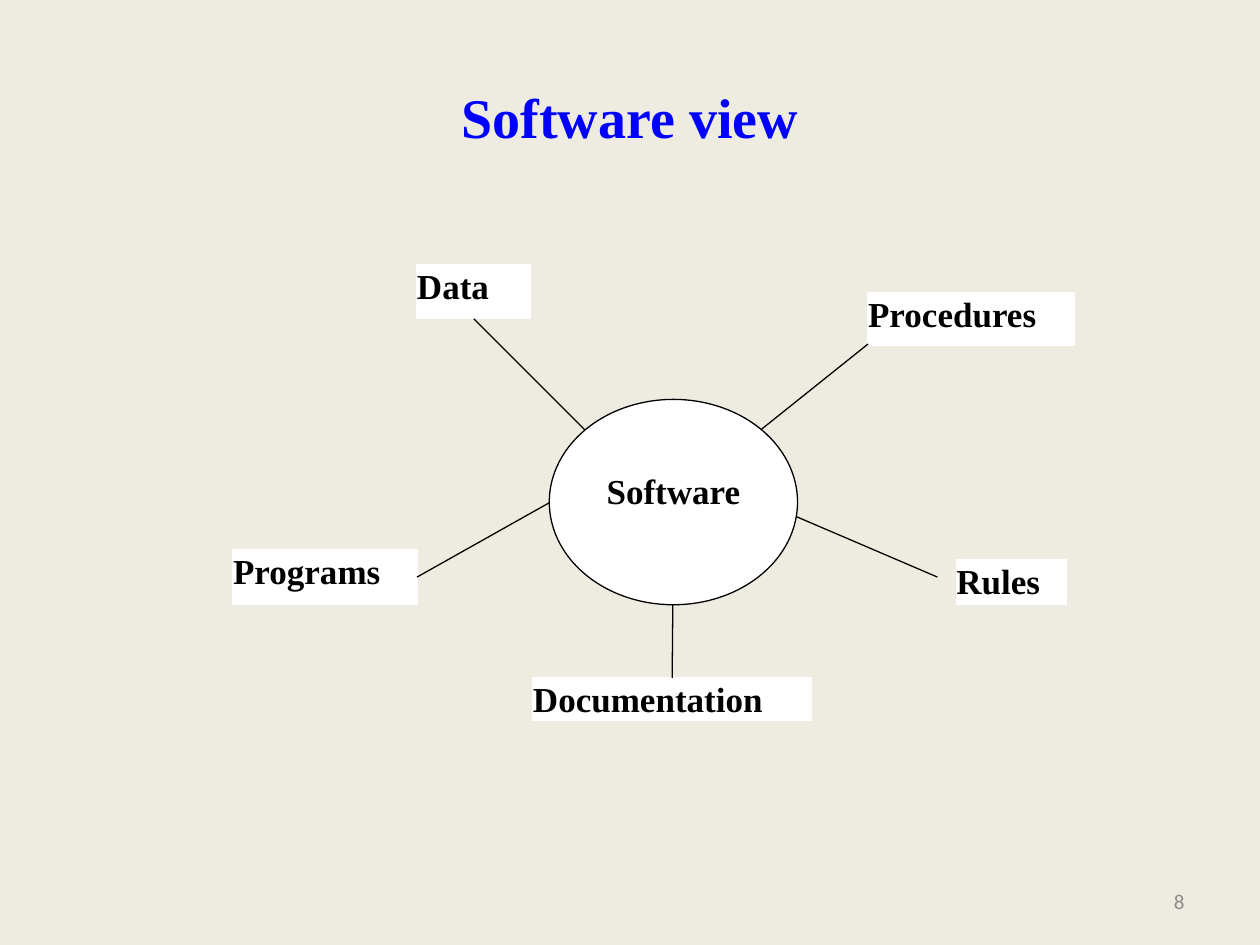
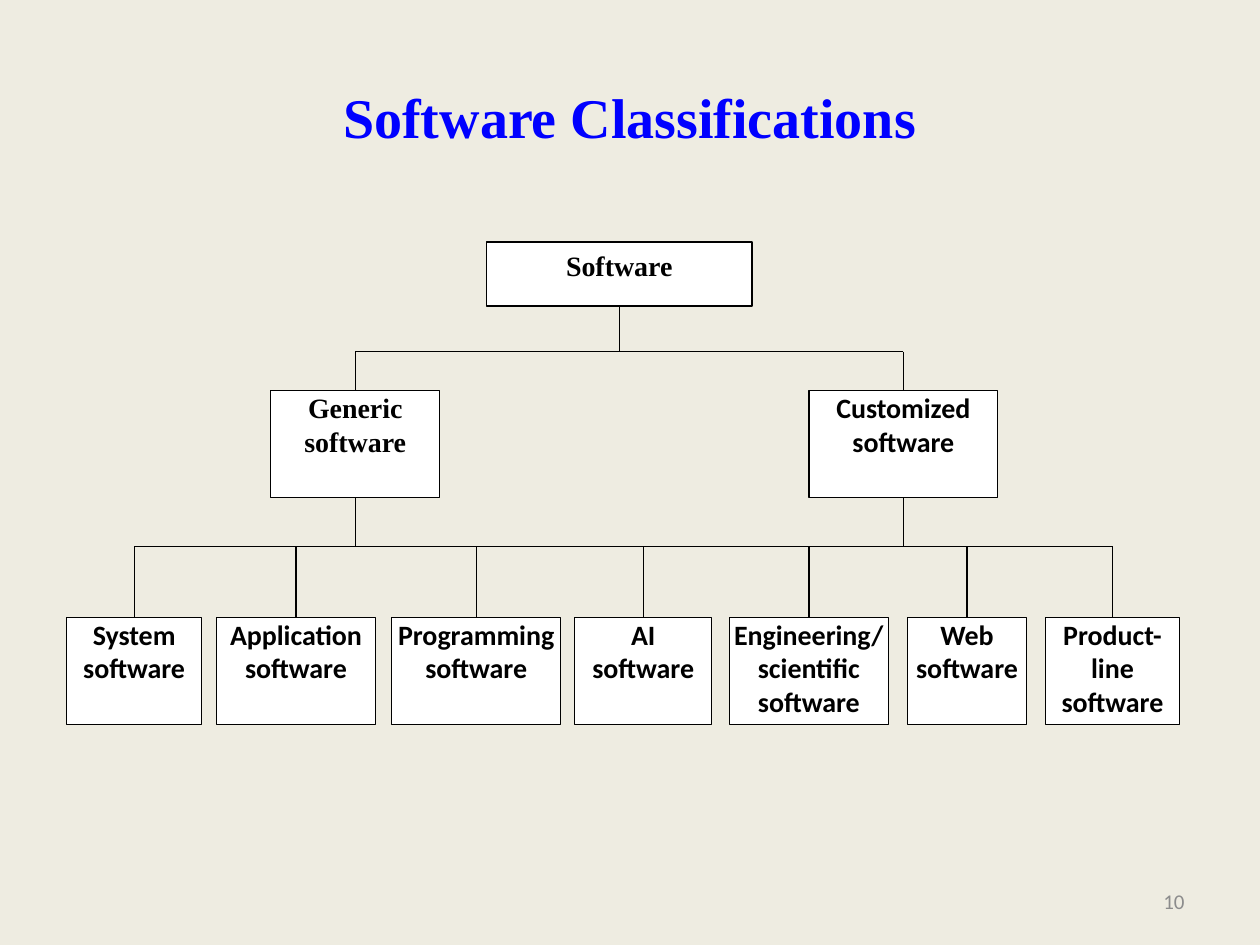
from dataclasses import dataclass

from lxml import etree
from pptx import Presentation
from pptx.dml.color import RGBColor
from pptx.enum.shapes import MSO_CONNECTOR, MSO_SHAPE
from pptx.enum.text import MSO_ANCHOR, PP_ALIGN
from pptx.oxml.ns import qn
from pptx.util import Inches, Pt

RECT, OVAL = MSO_SHAPE.RECTANGLE, MSO_SHAPE.OVAL
STRAIGHT = MSO_CONNECTOR.STRAIGHT
TOP, MIDDLE = MSO_ANCHOR.TOP, MSO_ANCHOR.MIDDLE
LEFT, CENTER, RIGHT = PP_ALIGN.LEFT, PP_ALIGN.CENTER, PP_ALIGN.RIGHT
ABOVE, BELOW, EAST = 0, 2, 3


@dataclass(frozen=True)
class Theme:
    paper: RGBColor = RGBColor(0xEE, 0xEC, 0xE1)
    white: RGBColor = RGBColor(0xFF, 0xFF, 0xFF)
    ink: RGBColor = RGBColor(0, 0, 0)
    blue: RGBColor = RGBColor(0, 0, 0xFF)
    gray: RGBColor = RGBColor(0x8C, 0x8C, 0x8C)
    serif: str = "Times New Roman"
    sans: str = "Calibri"
    title: int = 32
    label: int = 20
    node: int = 16
    foot: int = 12
    rule: float = 0.75


T = Theme()
deck = Presentation()
deck.slide_width, deck.slide_height = Inches(10), Inches(7.5)
COL, ROW = deck.slide_width / 100, deck.slide_height / 75


def put(slide, box, text, size, face=T.serif, color=T.ink, align=CENTER,
        anchor=TOP, bold=True, kind=RECT, fill=T.white, edge=T.ink, inset=(0, 0)):
    """Add a shape with text; box and inset are in columns and rows, no fill makes a text box."""
    x, y, w, h = box
    area = [int(n) for n in (x * COL, y * ROW, w * COL, h * ROW)]
    if fill is None:
        shape = slide.shapes.add_textbox(*area)
    else:
        shape = slide.shapes.add_shape(kind, *area)
        shape.shadow.inherit = False
        shape.fill.solid()
        shape.fill.fore_color.rgb = fill
        shape.line.color.rgb = edge
        shape.line.width = Pt(T.rule)
    frame = shape.text_frame
    frame.word_wrap = True
    frame.vertical_anchor = anchor
    frame.margin_left = frame.margin_right = int(inset[0] * COL)
    frame.margin_top = int(inset[1] * ROW)
    frame.margin_bottom = 0 if anchor == TOP else frame.margin_top
    frame.text = text
    for par in frame.paragraphs:
        par.alignment = align
        par.font.name, par.font.size, par.font.bold = face, Pt(size), bold
        par.font.color.rgb = color
    return shape


def join(slide, start, end, box=None, side=ABOVE):
    """Draw a line between two grid points, tied at its end to a side of box."""
    (x1, y1), (x2, y2) = start, end
    line = slide.shapes.add_connector(
        STRAIGHT, int(x1 * COL), int(y1 * ROW), int(x2 * COL), int(y2 * ROW))
    line.line.color.rgb = T.ink
    line.line.width = Pt(T.rule)
    etree.SubElement(line._element.spPr, qn("a:effectLst"))
    if box is not None:
        line.end_connect(box, side)


# Shared frame: background, title and page number
slides = []
for title, page in (("Software view", "8"), ("Software Classifications", "10")):
    slide = deck.slides.add_slide(deck.slide_layouts[6])
    slide.background.fill.solid()
    slide.background.fill.fore_color.rgb = T.paper
    put(slide, (5, 3, 90, 12.5), title, T.title, color=T.blue,
        anchor=MIDDLE, fill=None, inset=(1, 0.5))
    put(slide, (71.7, 69.5, 23.3, 4), page, T.foot, T.sans, T.gray,
        RIGHT, MIDDLE, bold=False, fill=None, inset=(1, 0.5))
    slides.append(slide)
view, tree = slides

# Software view: a hub with five labels around it
put(view, (43.6, 31.7, 19.7, 16.3), "Software", T.label, kind=OVAL, inset=(0, 3.2))
parts = [
    # text, box, point on the hub, far point, tied side
    ("Programs", (18.5, 43.6, 14.6, 4.4), (43.6, 39.9), (33.1, 45.8), EAST),
    ("Data", (33.1, 21, 9, 4.3), (46.4, 34.1), (37.6, 25.3), BELOW),
    ("Procedures", (68.9, 23.2, 16.4, 4.2), (60.4, 34.1), (68.9, 27.3), None),
    ("Documentation", (42.3, 53.8, 22.1, 3.4), (53.4, 48), (53.3, 53.8), ABOVE),
    ("Rules", (75.9, 44.4, 8.7, 3.6), (63.2, 41), (74.4, 45.8), None),
]
for text, box, near, far, side in parts:
    label = put(view, box, text, T.label, align=LEFT, edge=T.white)
    join(view, near, far, None if side is None else label, side)

# Software Classifications: a root, two groups and seven kinds
DEEP = 8.5
GROUP, KIND = 31, 49
BUS, RAIL = 27.9, 43.4

root = put(tree, (38.6, 19.2, 21.1, 5.1), "Software", T.node, inset=(1, 0.5))
join(tree, (49.15, BUS), (49.15, 24.3), root, BELOW)

groups = [
    ("Generic\nsoftware", 21.5, 13.4, T.serif),
    ("Customized\nsoftware", 64.2, 15, T.sans),
]
kinds = [
    ("System software", 5.3, 10.7),
    ("Application software", 17.2, 12.6),
    ("Programming software", 31.1, 13.4),
    ("AI\nsoftware", 45.6, 10.9),
    ("Engineering/ scientific software", 57.9, 12.6),
    ("Web software", 72, 9.5),
    ("Product-line software", 83, 10.6),
]

mids = []
for text, x, wide, face in groups:
    mid = x + wide / 2
    node = put(tree, (x, GROUP, wide, DEEP), text, T.node, face)
    join(tree, (mid, BUS), (mid, GROUP), node, ABOVE)
    join(tree, (mid, RAIL), (mid, GROUP + DEEP), node, BELOW)
    mids.append(mid)
join(tree, (mids[0], BUS), (mids[-1], BUS))

mids = []
for text, x, wide in kinds:
    mid = x + wide / 2
    node = put(tree, (x, KIND, wide, DEEP), text, T.node, T.sans)
    join(tree, (mid, RAIL), (mid, KIND), node, ABOVE)
    mids.append(mid)
join(tree, (mids[0], RAIL), (mids[-1], RAIL))

deck.save("out.pptx")
